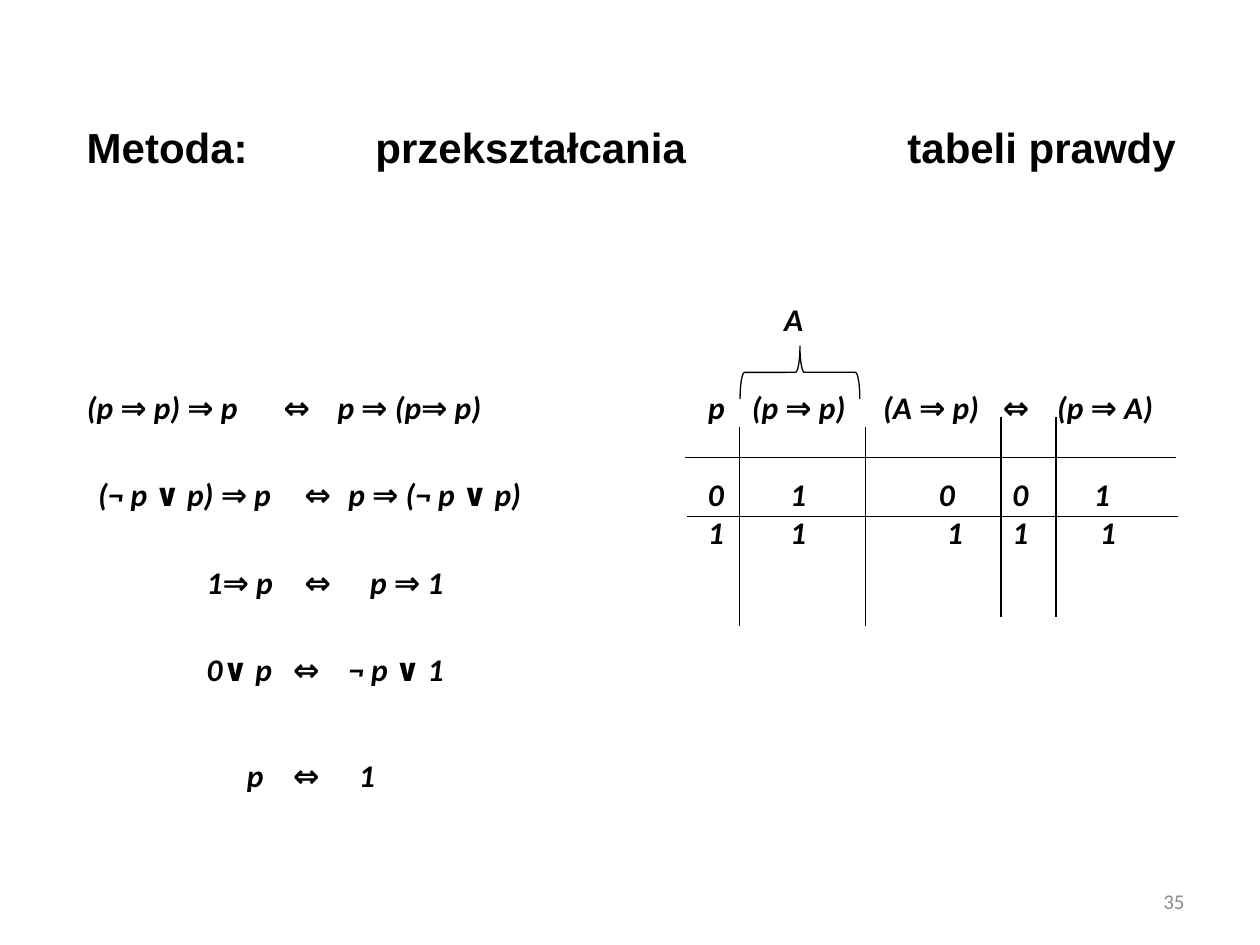
from dataclasses import dataclass

from lxml import etree
from pptx import Presentation
from pptx.dml.color import RGBColor
from pptx.enum.shapes import MSO_CONNECTOR as CONN, MSO_SHAPE as SHAPE
from pptx.enum.text import MSO_ANCHOR as ANCHOR, PP_ALIGN as ALIGN
from pptx.oxml.ns import qn
from pptx.util import Pt


@dataclass(frozen=True)
class Theme:
    ink: RGBColor = RGBColor(0x00, 0x00, 0x00)
    grey: RGBColor = RGBColor(0x8C, 0x8C, 0x8C)
    title_font: str = "Arial"
    body_font: str = "Calibri"
    title_size: int = 24
    body_size: int = 18
    number_size: int = 12


T = Theme()

prs = Presentation()
prs.slide_width, prs.slide_height = Pt(720), Pt(540)
s = prs.slides.add_slide(prs.slide_layouts[6])


def add_text(text, left, top, width, height=52, font=T.body_font, size=T.body_size,
             color=T.ink, bold=True, italic=True, align=ALIGN.LEFT,
             anchor=ANCHOR.TOP, tabs=()):
    """Add a text box; tabs holds one list of tab stops, in points, per line."""
    tf = s.shapes.add_textbox(Pt(left), Pt(top), Pt(width), Pt(height)).text_frame
    tf.word_wrap = True
    tf.vertical_anchor = anchor
    for i, line in enumerate(text.split("\n")):
        p = tf.paragraphs[0] if i == 0 else tf.add_paragraph()
        p.alignment = align
        r = p.add_run()
        r.text = line
        r.font.name, r.font.size = font, Pt(size)
        r.font.bold, r.font.italic = bold, italic
        r.font.color.rgb = color
        if tabs:
            tab_list = etree.SubElement(p._p.get_or_add_pPr(), qn("a:tabLst"))
            for stop in tabs[i]:
                etree.SubElement(tab_list, qn("a:tab"), pos=str(Pt(stop)), algn="l")


def add_line(x1, y1, x2, y2):
    line = s.shapes.add_connector(CONN.STRAIGHT, Pt(x1), Pt(y1), Pt(x2), Pt(y2))
    line.line.color.rgb = T.ink
    line.line.width = Pt(1)
    etree.SubElement(line._element.spPr, qn("a:effectLst"))


add_text("35", 516, 500.4, 168, 28.8, size=T.number_size, color=T.grey,
         bold=False, italic=False, align=ALIGN.RIGHT, anchor=ANCHOR.MIDDLE)
add_text("Metoda:\tprzekształcania\ttabeli prawdy", 42.5, 66.2, 642, 36,
         font=T.title_font, size=T.title_size, italic=False, tabs=[(165, 469)])

# Left: the formula simplified step by step, as left side, equivalence, right side
steps = [
    (218, (42.5, "(p ⇒ p) ⇒ p"), 155, (185.8, "p ⇒ (p⇒ p)")),
    (268, (49, "(¬ p ∨ p) ⇒ p"), 167, (192, "p ⇒ (¬ p ∨ p)")),
    (318, (111, "1⇒ p"), 167, (204.5, "p ⇒ 1")),
    (368, (111, "0∨ p"), 160.5, (192, "¬ p ∨ 1")),
    (428.5, (134, "p"), 160.5, (198, "1")),
]
for top, (left_x, left_side), sign_x, (right_x, right_side) in steps:
    add_text(left_side, left_x, top, 148 if len(left_side) > 5 else 63)
    add_text("⇔", sign_x, top, 42)
    add_text(right_side, right_x, top, 138)

# Right: the truth table with its header, values and rules
header = [(397.5, 27, "p"), (422.6, 79, "(p ⇒ p)"), (497.5, 85, "(A ⇒ p)"),
          (566, 42, "⇔"), (597, 81, "(p ⇒ A)")]
for left, width, label in header:
    add_text(label, left, 218, width)
add_text("A", 441, 168, 28)
add_text("0\t1\t0\t0\t1\n1\t1\t1\t1\t1", 397.5, 268, 252, 58,
         tabs=[(47, 132, 174, 220.5), (47, 136.5, 174, 224)])

brace = s.shapes.add_shape(SHAPE.LEFT_BRACE, Pt(442), Pt(178.6), Pt(30.2), Pt(68.4))
brace.rotation = 90
brace.shadow.inherit = False
brace.fill.background()
brace.line.color.rgb = T.ink
brace.line.width = Pt(0.75)

for x, y in [(391.7, 261.4), (392.6, 295.2)]:
    add_line(x, y, x + 280.4, y)
for x, y in [(422.6, 244), (494.6, 244), (572, 238.3), (603.4, 238.3)]:
    add_line(x, y, x, y + 114)

prs.save("out.pptx")
